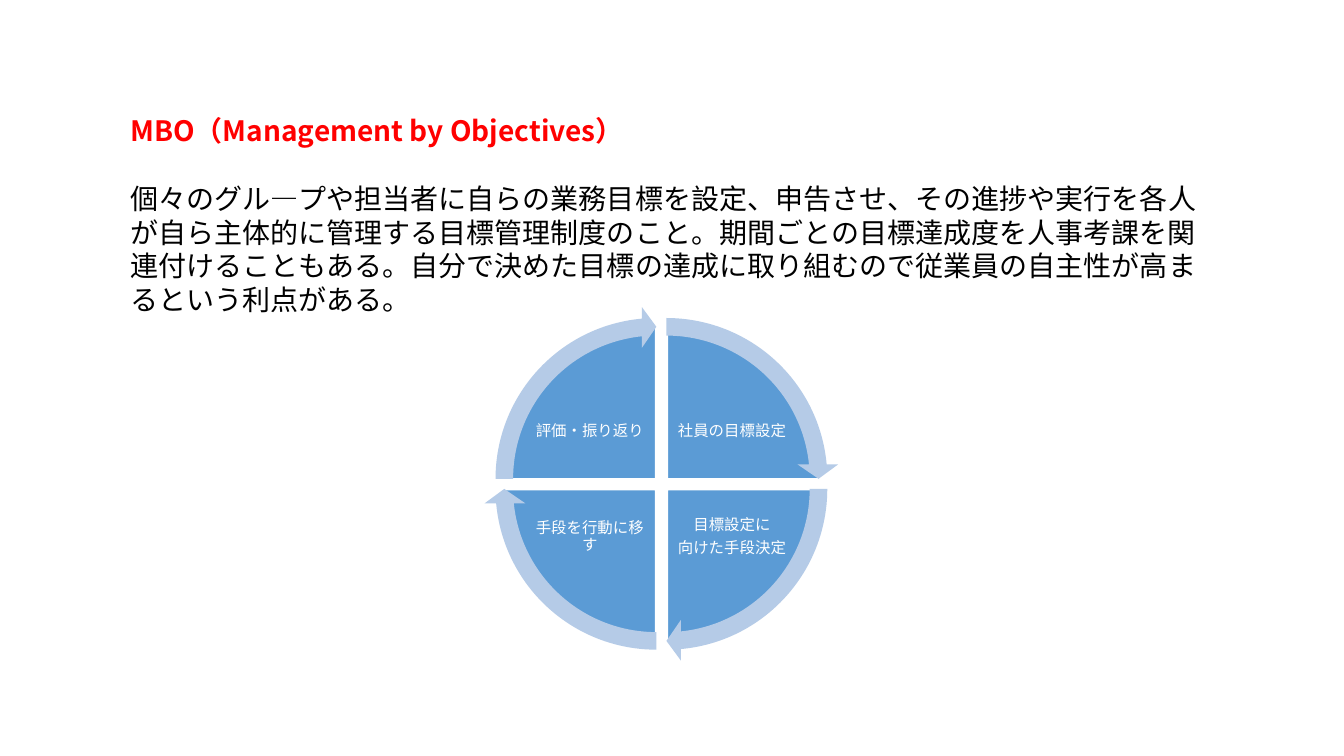
from pptx import Presentation
from pptx import util as u
from pptx.dml.color import RGBColor
from pptx.enum import shapes, text
from pptx.oxml.ns import qn


def colour(value):
    return RGBColor.from_string(value)


def apply_formats(target, formats):
    for name, value in formats.items():
        setattr(target, name, value)


class CycleSlide:
    """Holds the style and the current slide."""
    font = "Noto Sans CJK JP"
    blue, pale, white, red, black = "5B9BD5", "B5CBE7", "FFFFFF", "FF0000", "000000"

    def __init__(self, presentation):
        self.slide = presentation.slides.add_slide(presentation.slide_layouts[1])

    def fill_text(self, shape, lines, size, shade, bold, frame_format, paragraph_format):
        text_frame = shape.text_frame
        apply_formats(text_frame, {"word_wrap": True, "auto_size": text.MSO_AUTO_SIZE.NONE,
                                   **frame_format})
        for index, line in enumerate(lines):
            paragraph = text_frame.paragraphs[0] if index == 0 else text_frame.add_paragraph()
            apply_formats(paragraph, {"space_before": u.Pt(0), **paragraph_format})
            run = paragraph.add_run()
            run.text = line
            apply_formats(run.font, {"size": u.Pt(size), "bold": bold, "name": self.font})
            run.font.color.rgb = colour(shade)
            properties = run._r.get_or_add_rPr()
            east_asian = properties.makeelement(qn("a:ea"), {"typeface": self.font})
            properties.find(qn("a:latin")).addnext(east_asian)

    def placeholder(self, index, top, height, line, shade, bold):
        shape = self.slide.placeholders[index]
        apply_formats(shape, {"left": u.Inches(1.19), "top": u.Inches(top),
                              "width": u.Inches(10.95), "height": u.Inches(height)})
        properties = shape.text_frame.paragraphs[0]._p.get_or_add_pPr()
        properties.set("marL", "0")
        properties.set("indent", "0")
        properties.append(properties.makeelement(qn("a:buNone"), {}))
        self.fill_text(shape, [line], 20, shade, bold,
                       {"vertical_anchor": text.MSO_ANCHOR.TOP},
                       {"alignment": text.PP_ALIGN.LEFT, "line_spacing": u.Pt(24)})

    def label(self, left, top, lines):
        box = self.slide.shapes.add_textbox(
            u.Inches(left), u.Inches(top), u.Inches(1.12), u.Inches(0.83))
        margins = {f"margin_{side}": u.Inches(0.02)
                   for side in ("left", "top", "right", "bottom")}
        self.fill_text(box, lines, 11, self.white, False,
                       {"vertical_anchor": text.MSO_ANCHOR.MIDDLE, **margins},
                       {"alignment": text.PP_ALIGN.CENTER, "line_spacing": u.Pt(12),
                        "space_after": u.Pt(3.85)})

    def round_shape(self, kind, left, top, size, adjustments, fill, outline=None):
        shape = self.slide.shapes.add_shape(
            kind, u.Inches(left), u.Inches(top), u.Inches(size), u.Inches(size))
        shape.shadow.inherit = False
        for index, value in enumerate(adjustments):
            shape.adjustments[index] = value
        shape.fill.solid()
        shape.fill.fore_color.rgb = colour(fill)
        if outline:
            shape.line.color.rgb = colour(outline)
            shape.line.width = u.Pt(1.5)
        else:
            shape.line.fill.background()

    def quarter(self, left, top, start):
        self.round_shape(shapes.MSO_SHAPE.PIE, left, top, 3.05,
                         [start, (start + 54) % 216], self.blue, self.white)

    def arrow(self, left, top, start):
        self.round_shape(shapes.MSO_SHAPE.CIRCULAR_ARROW, left, top, 3.42,
                         [0.051, 3.275, start + 50.725, start, 0.059], self.pale)


def main():
    presentation = Presentation()
    presentation.slide_width = u.Inches(13.33)
    presentation.slide_height = u.Inches(7.5)
    page = CycleSlide(presentation)

    # Heading and explanation
    page.placeholder(0, 1.08, 0.45, "MBO（Management by Objectives）", page.red, True)
    page.placeholder(
        1, 1.75, 1.43,
        "個々のグル―プや担当者に自らの業務目標を設定、申告させ、その進捗や実行を各人"
        "が自ら主体的に管理する目標管理制度のこと。期間ごとの目標達成度を人事考課を関"
        "連付けることもある。自分で決めた目標の達成に取り組むので従業員の自主性が高ま"
        "るという利点がある。", page.black, False)

    # Cycle steps, clockwise from the top right: column, row, start angle, label
    steps = [
        (1, 0, 162, ["社員の目標設定"]),
        (1, 1, 0, ["目標設定に", "向けた手段決定"]),
        (0, 1, 54, ["手段を行動に移す"]),
        (0, 0, 108, ["評価・振り返り"]),
    ]
    for column, row, start, lines in steps:
        page.quarter(4.98 + 0.11 * column, 3.23 + 0.1 * row, start)
        page.label(5.29 + 1.41 * column, 3.86 + 1.05 * row, lines)

    # Arrows around the cycle
    for column, row, start, _ in steps:
        page.arrow(4.8 + 0.1 * column, 3.04 + 0.1 * row, start)

    presentation.save("out.pptx")


if __name__ == "__main__":
    main()
